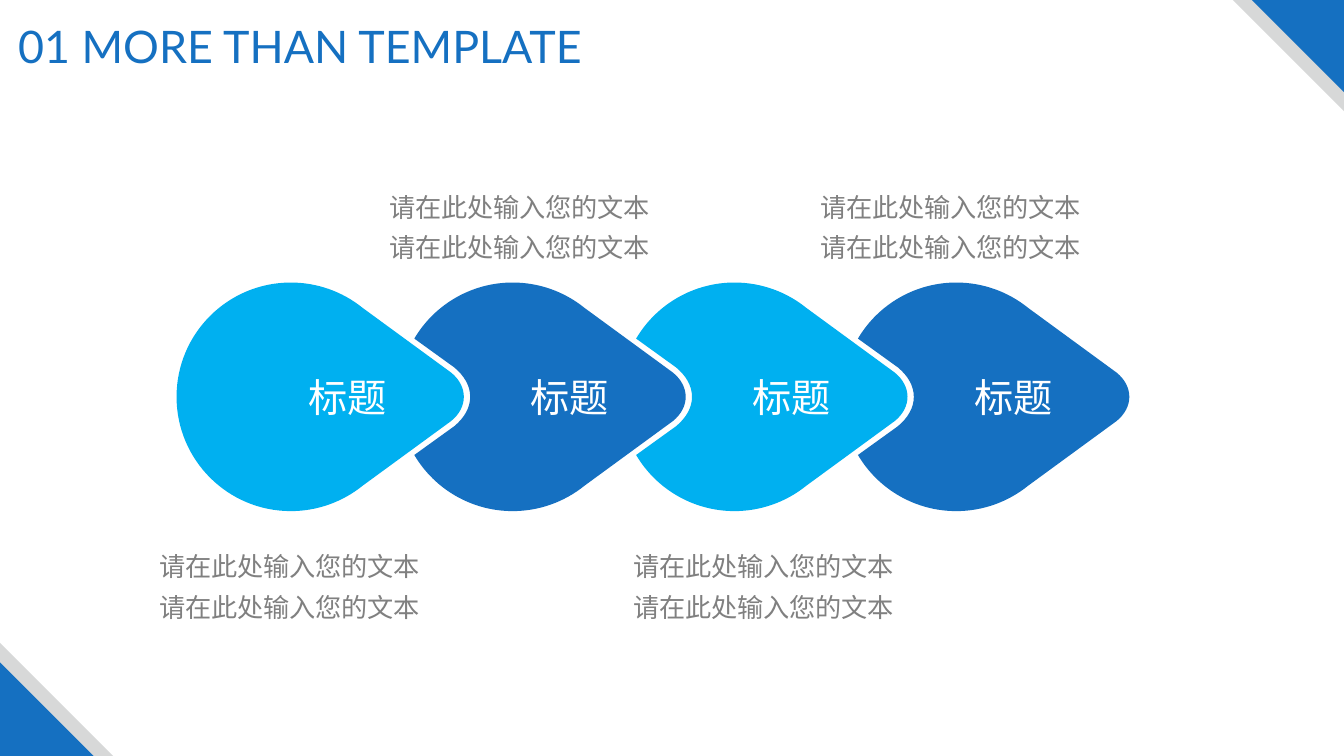
from dataclasses import dataclass
from math import cos, radians, sin, tan

from lxml.etree import SubElement
from pptx import Presentation
from pptx.dml.color import RGBColor
from pptx.enum.shapes import MSO_SHAPE as Preset
from pptx.enum.text import MSO_ANCHOR as Anchor, PP_ALIGN as Align
from pptx.oxml.ns import qn
from pptx.shapes.base import BaseShape
from pptx.slide import Slide
from pptx.util import Cm, Pt

Point = tuple[float, float]
Segment = list[Point]  # two points make a line, four a Bezier curve


@dataclass(frozen=True)
class Theme:
    blue: str = "1570C1"
    cyan: str = "00B0F0"
    silver: str = "D7D8D8"
    gray: str = "808080"
    white: str = "FFFFFF"
    latin: str = "Lato"
    chinese: str = "Noto Sans CJK SC"
    title_size: float = 32
    label_size: float = 28
    note_size: float = 18.67


@dataclass(frozen=True)
class Corner:
    left: float
    top: float
    side: float
    rotation: int
    color: str


@dataclass(frozen=True)
class Step:
    color: str
    note_left: float
    note_top: float


@dataclass(frozen=True)
class TextStyle:
    font: str
    size: float
    color: str
    line_spacing: float = 1.0


THEME = Theme()
WIDTH, HEIGHT = 33.87, 19.05

TITLE_STYLE = TextStyle(THEME.latin, THEME.title_size, THEME.blue)
LABEL_STYLE = TextStyle(THEME.chinese, THEME.label_size, THEME.white)
NOTE_STYLE = TextStyle(THEME.chinese, THEME.note_size, THEME.gray, 1.3)

CORNERS = [
    Corner(WIDTH - 2.8, 0, 2.8, 180, THEME.silver),
    Corner(WIDTH - 2.32, 0, 2.32, 180, THEME.blue),
    Corner(0, HEIGHT - 2.85, 2.85, 0, THEME.silver),
    Corner(0, HEIGHT - 2.36, 2.36, 0, THEME.blue),
]

NOTE_ABOVE, NOTE_BELOW = 4.45, 13.51
STEPS = [
    Step(THEME.cyan, 3.59, NOTE_BELOW),
    Step(THEME.blue, 9.38, NOTE_ABOVE),
    Step(THEME.cyan, 15.53, NOTE_BELOW),
    Step(THEME.blue, 20.25, NOTE_ABOVE),
]

# Drops: a round body with a blunt tip, measured from the body's centre
FIRST_X, CENTER_Y, PITCH = 7.33, 10.0, 5.59
RADIUS = 2.88
TIP_ANGLE, TOP_ANGLE, NOTCH_ANGLE, BACK_ANGLE = 51, 90, 149.4, 180
TIP = [(4.04, -0.61), (4.25, -0.44), (4.36, -0.22), (4.36, 0)]
NOTCH = [(-1.07, 0), (-1.07, -0.28), (-1.22, -0.53), (-1.47, -0.74)]


def arc(start: float, end: float) -> Segment:
    """Clockwise part of the round body as one Bezier curve."""
    a, b = radians(start), radians(end)
    reach = 4 / 3 * tan((a - b) / 4)
    offsets = [(cos(a), sin(a)),
               (cos(a) + reach * sin(a), sin(a) - reach * cos(a)),
               (cos(b) - reach * sin(b), sin(b) + reach * cos(b)),
               (cos(b), sin(b))]
    return [(RADIUS * x, -RADIUS * y) for x, y in offsets]


def drop_outline(notched: bool) -> list[Segment]:
    back = arc(NOTCH_ANGLE if notched else BACK_ANGLE, TOP_ANGLE)
    front = arc(TOP_ANGLE, TIP_ANGLE)
    upper = [back, front, [front[-1], TIP[0]], TIP]
    if notched:
        upper = [NOTCH, [NOTCH[-1], back[0]]] + upper
    lower = [[(x, -y) for x, y in reversed(part)] for part in reversed(upper)]
    return upper + lower


def paint(shape: BaseShape, color: str) -> None:
    shape.shadow.inherit = False
    shape.fill.solid()
    shape.fill.fore_color.rgb = RGBColor.from_string(color)
    shape.line.fill.background()


def add_corner(page: Slide, corner: Corner) -> None:
    side = Cm(corner.side)
    triangle = page.shapes.add_shape(
        Preset.RIGHT_TRIANGLE, Cm(corner.left), Cm(corner.top), side, side)
    triangle.rotation = corner.rotation
    paint(triangle, corner.color)


def add_drop(page: Slide, center_x: float, color: str, notched: bool) -> None:
    segments = [[(Cm(center_x + x), Cm(CENTER_Y + y)) for x, y in part]
                for part in drop_outline(notched)]
    builder = page.shapes.build_freeform(*segments[0][0])
    builder.add_line_segments([part[-1] for part in segments], close=True)
    drop = builder.convert_to_shape()
    # Bend the sides that have control points
    sides = list(drop.element.iter(qn("a:lnTo")))
    for side, part in zip(sides, segments):
        if len(part) == 4:
            side.tag = qn("a:cubicBezTo")
            for index, (x, y) in enumerate(part[1:3]):
                control = SubElement(side, qn("a:pt"), x=str(x - drop.left),
                                     y=str(y - drop.top))
                side.insert(index, control)
    paint(drop, color)


def add_text(page: Slide, left: float, top: float, width: float, height: float,
             lines: list[str], style: TextStyle, wrap: bool = True,
             centered_label: bool = False) -> None:
    box = page.shapes.add_textbox(Cm(left), Cm(top), Cm(width), Cm(height))
    frame = box.text_frame
    frame.word_wrap = wrap
    if centered_label:
        frame.vertical_anchor = Anchor.MIDDLE
        frame.margin_left = frame.margin_right = 0
        frame.margin_top = frame.margin_bottom = 0
    frame.text = "\n".join(lines)
    for para in frame.paragraphs:
        para.alignment = Align.CENTER
        para.line_spacing = style.line_spacing
        para.font.size = Pt(style.size)
        para.font.name = style.font
        para.font.color.rgb = RGBColor.from_string(style.color)
        # East Asian typeface follows the Latin one
        defaults = para._p.pPr.find(qn("a:defRPr"))
        SubElement(defaults, qn("a:ea"), typeface=style.font)


def main() -> None:
    deck = Presentation()
    deck.slide_width, deck.slide_height = Cm(WIDTH), Cm(HEIGHT)
    page = deck.slides.add_slide(deck.slide_layouts[6])

    # Corner ornaments and title
    for corner in CORNERS:
        add_corner(page, corner)
    add_text(page, 0.05, 0.35, 15.04, 1.63, ["01 MORE THAN TEMPLATE"],
             TITLE_STYLE, wrap=False)

    # Chain of drops, then their labels and notes
    centers = [FIRST_X + index * PITCH for index in range(len(STEPS))]
    for index, (center_x, step) in enumerate(zip(centers, STEPS)):
        add_drop(page, center_x, step.color, notched=index > 0)
    for center_x in centers:
        add_text(page, center_x - 2.03, 9.37, 6.93, 1.27, ["标题"],
                 LABEL_STYLE, centered_label=True)
    for step in STEPS:
        add_text(page, step.note_left, step.note_top, 7.42, 2.34,
                 ["请在此处输入您的文本"] * 2, NOTE_STYLE)

    deck.save("out.pptx")


if __name__ == "__main__":
    main()
